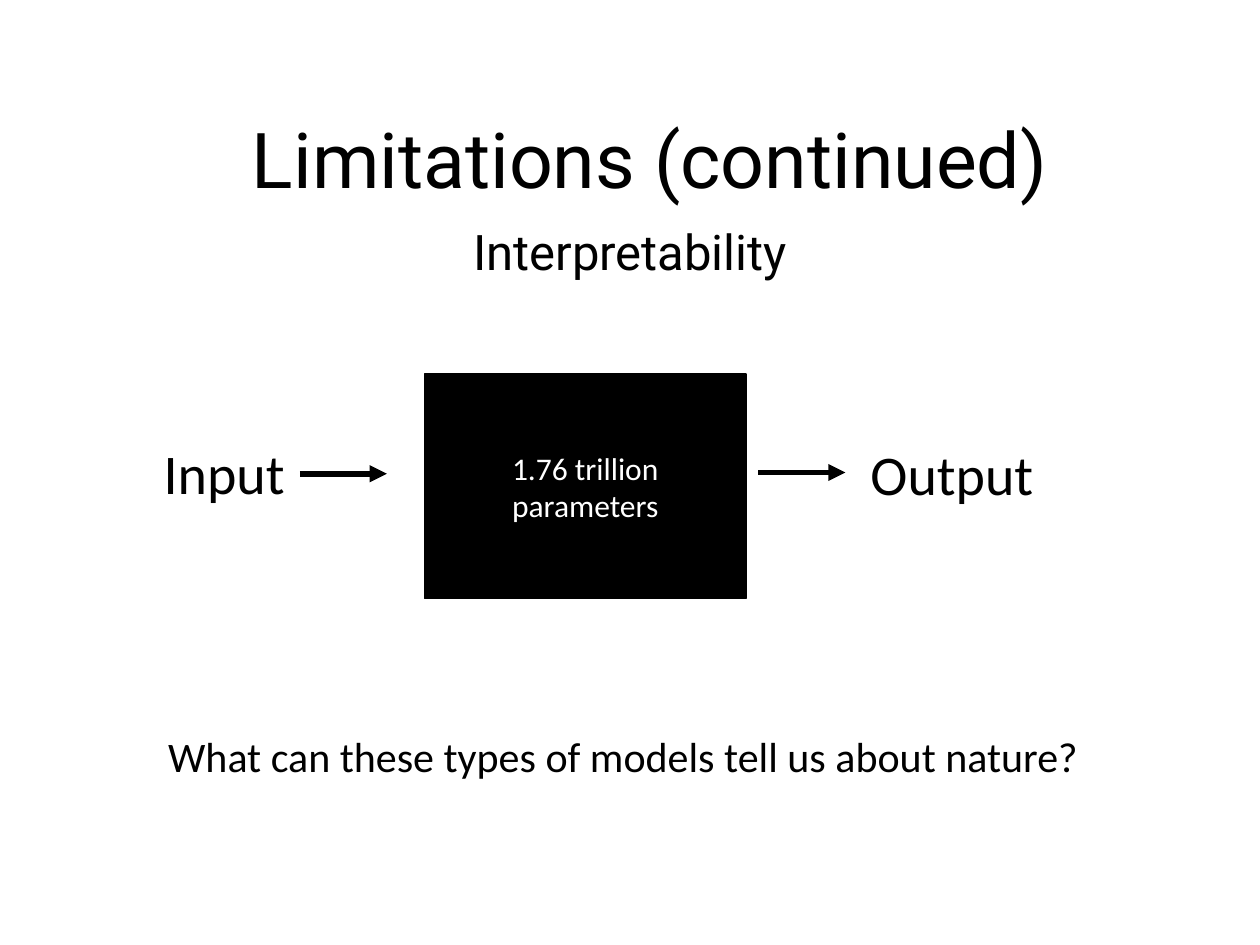
from lxml.etree import SubElement
from pptx import Presentation
from pptx.dml.color import RGBColor
from pptx.enum.shapes import MSO_CONNECTOR as Connector, MSO_SHAPE as Shape
from pptx.enum.text import MSO_ANCHOR as Anchor, MSO_AUTO_SIZE as AutoSize, PP_ALIGN as Align
from pptx.oxml.ns import qn
from pptx.util import Inches, Pt

WIDTH, HEIGHT = 10, 7.5
BLACK, WHITE = "000000", "FFFFFF"
HEADING_FONT, BODY_FONT = "Roboto", "Calibri"
ARROW_LENGTH = 0.69


def color(hex_code):
    return RGBColor.from_string(hex_code)


def place(shape, left, top, width, height):
    shape.left, shape.top = Inches(left), Inches(top)
    shape.width, shape.height = Inches(width), Inches(height)


def write(shape, text, size, font=BODY_FONT, ink=BLACK, align=Align.CENTER):
    shape.text_frame.text = text
    para = shape.text_frame.paragraphs[0]
    para.alignment = align
    para.font.size, para.font.name = Pt(size), font
    para.font.color.rgb = color(ink)
    return para


def add_title(page, text):
    title = page.shapes.title
    place(title, 0.85, 0.57, 8.62, 1.45)
    title.text_frame.vertical_anchor = Anchor.MIDDLE
    write(title, text, 44, HEADING_FONT).line_spacing = 0.9


def add_subtitle(page, text):
    box = page.shapes.add_textbox(0, Inches(1.76), Inches(WIDTH), Inches(0.57))
    box.text_frame.word_wrap = True
    write(box, text, 28, HEADING_FONT).line_spacing = 0.9


def add_label(page, text, size, left, top, width, height, align=Align.LEFT):
    box = page.shapes.add_textbox(*map(Inches, (left, top, width, height)))
    box.text_frame.word_wrap = False
    box.text_frame.auto_size = AutoSize.SHAPE_TO_FIT_TEXT
    write(box, text, size, align=align)


def add_black_box(page, text, left, top, width, height):
    box = page.shapes.add_shape(
        Shape.RECTANGLE, *map(Inches, (left, top, width, height)))
    box.shadow.inherit = False
    box.fill.solid()
    box.fill.fore_color.rgb = color(BLACK)
    box.line.color.rgb = color(BLACK)
    box.line.width = Pt(1)
    box.text_frame.word_wrap = True
    box.text_frame.vertical_anchor = Anchor.MIDDLE
    write(box, text, 18, ink=WHITE)


def add_arrow(page, left, y):
    arrow = page.shapes.add_connector(
        Connector.STRAIGHT, *map(Inches, (left, y, left + ARROW_LENGTH, y)))
    arrow.line.color.rgb = color(BLACK)
    arrow.line.width = Pt(3.25)
    SubElement(arrow.line._get_or_add_ln(), qn("a:tailEnd"), type="triangle")
    SubElement(arrow._element.spPr, qn("a:effectLst"))


def main():
    deck = Presentation()
    deck.slide_width, deck.slide_height = Inches(WIDTH), Inches(HEIGHT)
    page = deck.slides.add_slide(deck.slide_layouts[5])

    # Headings
    add_title(page, "Limitations (continued)")
    add_subtitle(page, "Interpretability")

    # Flow from input through the black box to output
    add_label(page, "Input", 32, 1.2, 3.43, 1.18, 0.64)
    add_arrow(page, 2.38, 3.76)
    add_black_box(page, "1.76 trillion parameters", 3.37, 2.97, 2.55, 1.78)
    add_arrow(page, 6.02, 3.75)
    add_label(page, "Output", 32, 6.81, 3.44, 1.51, 0.64)

    # Closing question
    add_label(page, "What can these types of models tell us about nature?",
              24, 1.2, 5.75, 7.49, 0.5, Align.CENTER)

    deck.save("out.pptx")


if __name__ == "__main__":
    main()
